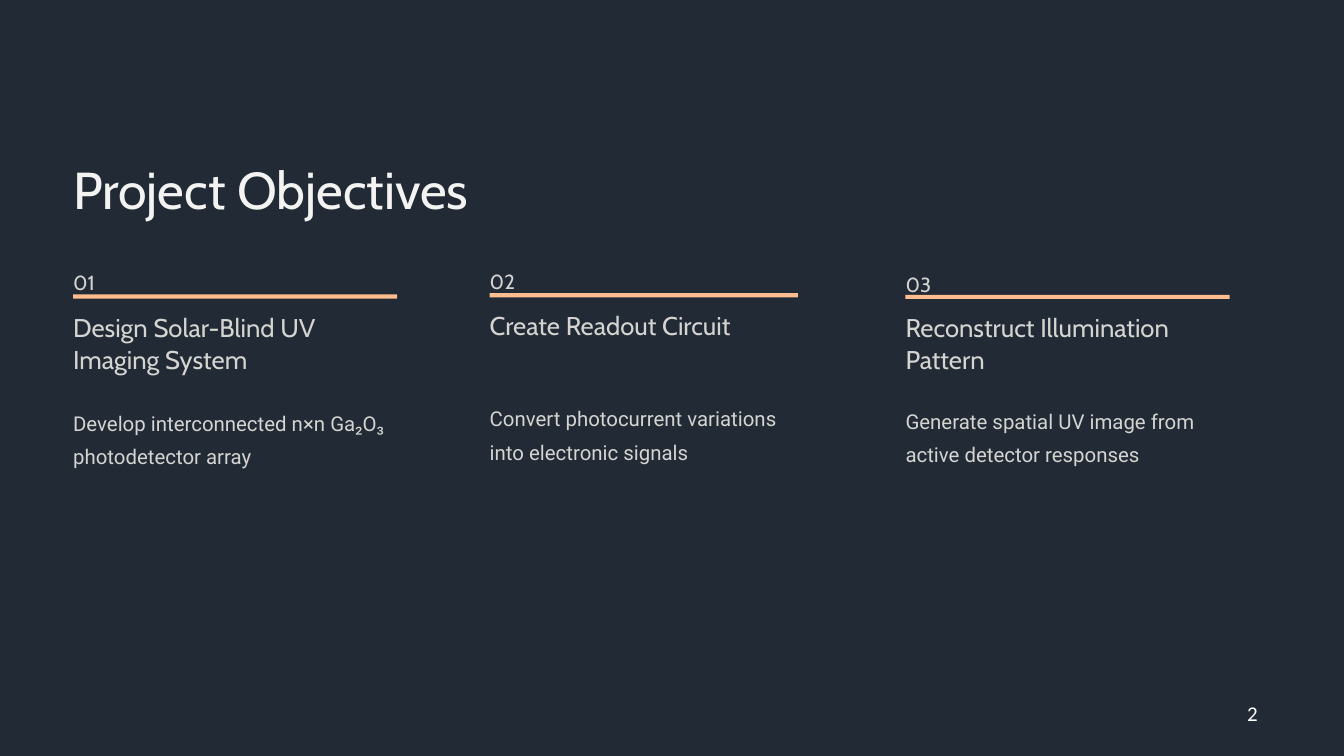
from pptx import Presentation
from pptx.dml.color import RGBColor
from pptx.enum.shapes import MSO_SHAPE as Shape
from pptx.enum.text import MSO_AUTO_SIZE as Fit
from pptx.util import Pt

NAVY = RGBColor(0x22, 0x2A, 0x35)
IVORY = RGBColor(0xF3, 0xF3, 0xF2)
GREY = RGBColor(0xD4, 0xD4, 0xD1)
PEACH = RGBColor(0xFF, 0xBC, 0x8F)
WHITE = RGBColor(0xFF, 0xFF, 0xFF)

deck = Presentation()
deck.slide_width, deck.slide_height = Pt(1152), Pt(648)
slide = deck.slides.add_slide(deck.slide_layouts[6])
slide.background.fill.solid()
slide.background.fill.fore_color.rgb = NAVY


def add_text(box, lines, size, font, color, pitch):
    left, top, width, height = map(Pt, box)
    frame = slide.shapes.add_textbox(left, top, width, height).text_frame
    frame.word_wrap = True
    frame.margin_left = frame.margin_right = 0
    frame.margin_top = frame.margin_bottom = 0
    for i, line in enumerate(lines):
        para = frame.add_paragraph() if i else frame.paragraphs[0]
        para.line_spacing = Pt(pitch)
        run = para.add_run()
        run.text = line
        run.font.size, run.font.name = Pt(size), font
        run.font.color.rgb = color


# Title
add_text((62.64, 132.8, 446.4, 56.2), ["Project Objectives"],
         44.5, "Cabin", IVORY, 55.5)

# Objectives: left, bar width, then tops of bar, number, name and detail
goals = [
    (62.64, 277.9, 252.3, 224.4, 266, 344.5,
     ["Design Solar-Blind UV", "Imaging System"],
     ["Develop interconnected n×n Ga₂O₃", "photodetector array"]),
    (419.76, 264.2, 251.3, 223.3, 264.7, 340.9,
     ["Create Readout Circuit"],
     ["Convert photocurrent variations", "into electronic signals"]),
    (776.16, 277.9, 252.7, 226.1, 266.4, 343,
     ["Reconstruct Illumination", "Pattern"],
     ["Generate spatial UV image from", "active detector responses"]),
]
for num, goal in enumerate(goals, 1):
    left, width, top, label, head, body, name, detail = goal
    add_text((left, label, 24, 28.5), [f"{num:02}"],
             17.5, "Cabin", GREY, 28.5)
    bar = slide.shapes.add_shape(Shape.RECTANGLE, Pt(left), Pt(top),
                                 Pt(width), Pt(3.6))
    bar.shadow.inherit = False
    bar.fill.solid()
    bar.fill.fore_color.rgb = PEACH
    bar.line.fill.background()
    add_text((left, head, 245, 27.5 * len(name)), name,
             22, "Cabin", GREY, 27.5)
    add_text((left, body, 290, 28.5 * len(detail)), detail,
             17.5, "Roboto", GREY, 28.5)

# Page number
page = slide.shapes.add_textbox(Pt(1062), Pt(596.9), Pt(23.8), Pt(51.1))
frame = page.text_frame
frame.word_wrap = True
frame.auto_size = Fit.SHAPE_TO_FIT_TEXT
run = frame.paragraphs[0].add_run()
run.text = "2"
run.font.size, run.font.name = Pt(18), "Calibri"
run.font.color.rgb = WHITE

deck.save("out.pptx")
